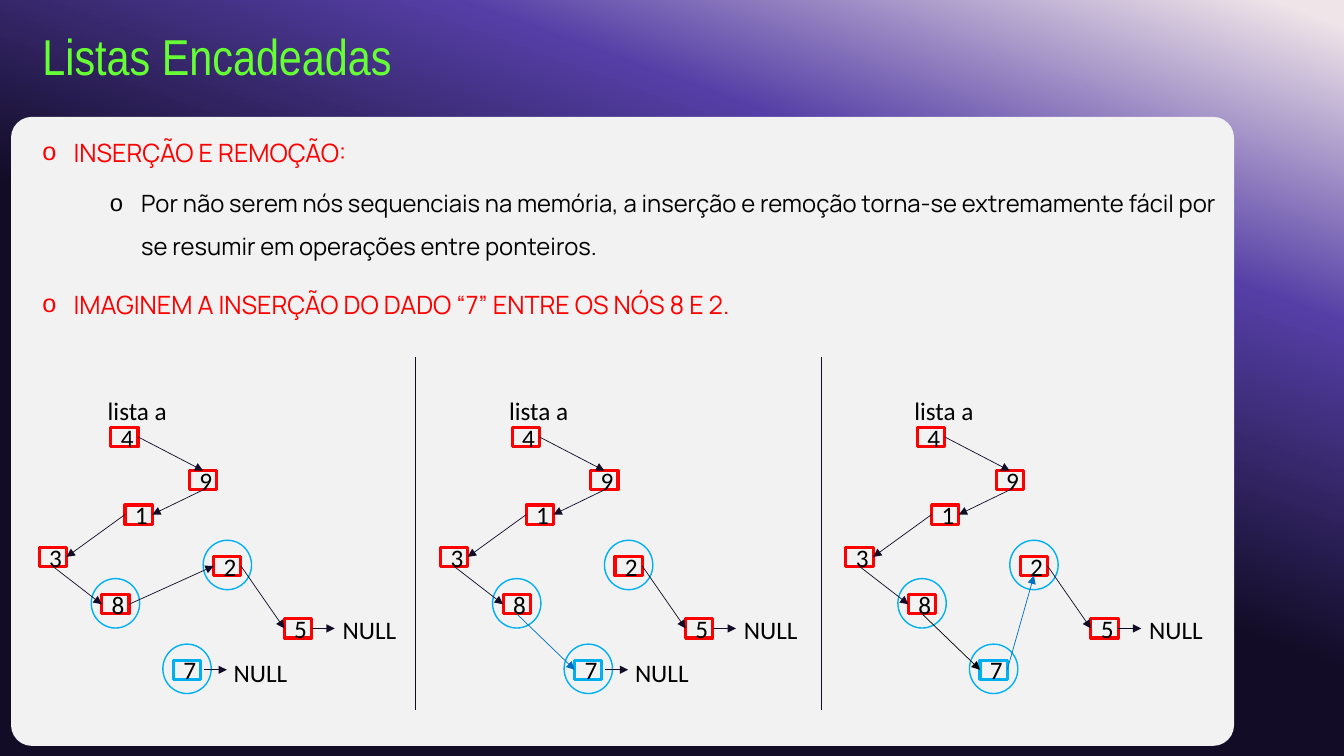
from dataclasses import dataclass

from pptx import Presentation
from pptx.dml.color import RGBColor
from pptx.enum.shapes import MSO_CONNECTOR, MSO_SHAPE
from pptx.enum.text import MSO_ANCHOR, MSO_AUTO_SIZE, PP_ALIGN
from pptx.oxml.ns import qn
from pptx.util import Inches, Pt
from lxml.etree import SubElement

COLORS = {
    "title": "66FF33", "red": "FF0000", "text": "000000", "panel": "F2F2F2",
    "ink": "120C26", "new": "00B0F0", "new_link": "0070C0",
}
BACKGROUND_STOPS = [(2, "EFE4E8"), (26, "553FA6"), (54, "120C26"), (96, "120C26")]
NODE_WIDTH, NODE_HEIGHT = 0.27, 0.19
RING_WIDTH, RING_HEIGHT = 0.48, 0.49
NULL_ARROW = 0.23


@dataclass(frozen=True)
class Node:
    value: str
    left: float
    top: float
    color: str = "red"
    ringed: bool = False

    def side(self, name: str) -> tuple[float, float]:
        across, down = {"left": (0, 0.5), "right": (1, 0.5),
                        "top": (0.5, 0), "bottom": (0.5, 1)}[name]
        return self.left + across * NODE_WIDTH, self.top + down * NODE_HEIGHT


@dataclass(frozen=True)
class Link:
    start: str
    start_side: str
    end: str
    end_side: str
    color: str = "ink"


@dataclass(frozen=True)
class Stage:
    offset: float
    links: tuple[Link, ...]
    new_points_to_null: bool


@dataclass(frozen=True)
class Topic:
    text: str
    level: int
    size: int
    color: str
    indent: float
    before: int


NODES = {node.value: node for node in (
    Node("4", 1.1, 4.24), Node("9", 1.88, 4.67), Node("1", 1.24, 5.01),
    Node("3", 0.39, 5.43), Node("8", 1.01, 5.9, ringed=True),
    Node("2", 2.12, 5.52, ringed=True), Node("5", 2.82, 6.14),
    Node("7", 1.72, 6.55, "new", True),
)}
COMMON_LINKS = (
    Link("4", "right", "9", "top"), Link("9", "bottom", "1", "right"),
    Link("1", "left", "3", "right"), Link("3", "bottom", "8", "left"),
    Link("2", "right", "5", "left"),
)
STAGES = (
    Stage(0, (Link("8", "right", "2", "left"),), True),
    Stage(3.98, (Link("8", "bottom", "7", "left", "new_link"),), True),
    Stage(8, (Link("8", "bottom", "7", "left", "text"),
              Link("7", "right", "2", "bottom", "new_link")), False),
)
TOPICS = (
    Topic("INSERÇÃO E REMOÇÃO:", 0, 18, "red", 0.31, 0),
    Topic("Por não serem nós sequenciais na memória, a inserção e remoção torna-se "
          "extremamente fácil por se resumir em operações entre ponteiros.",
          1, 17, "text", 0.98, 5),
    Topic("IMAGINEM A INSERÇÃO DO DADO “7” ENTRE OS NÓS 8 E 2.", 0, 18, "red", 0.31, 10),
)


def rgb(name: str) -> RGBColor:
    return RGBColor.from_string(COLORS[name])


def add_span(para, text: str, font: str, size: int, color: str) -> None:
    span = para.add_run()
    span.text = text
    span.font.name, span.font.size = font, Pt(size)
    span.font.color.rgb = rgb(color)


def place(box, left: float, top: float, width: float, height: float) -> None:
    box.left, box.top = Inches(left), Inches(top)
    box.width, box.height = Inches(width), Inches(height)


def add_outline(page, kind, left: float, top: float, width: float, height: float,
                color: str, weight: float):
    box = page.shapes.add_shape(kind, Inches(left), Inches(top), Inches(width), Inches(height))
    box.shadow.inherit = False
    box.fill.background()
    box.line.color.rgb = rgb(color)
    box.line.width = Pt(weight)
    return box


def add_line(page, start: tuple[float, float], end: tuple[float, float],
             color: str = "ink", arrow: bool = True) -> None:
    line = page.shapes.add_connector(MSO_CONNECTOR.STRAIGHT, *map(Inches, start + end))
    line.line.color.rgb = rgb(color)
    line.line.width = Pt(0.5)
    if arrow:
        outline = line.element.find(".//" + qn("a:ln"))
        SubElement(outline, qn("a:tailEnd"), type="triangle")
    SubElement(line.element.find(qn("p:spPr")), qn("a:effectLst"))


def add_label(page, text: str, left: float, top: float, width: float, height: float) -> None:
    box = page.shapes.add_textbox(Inches(left), Inches(top), Inches(width), Inches(height))
    box.text_frame.word_wrap = True
    add_span(box.text_frame.paragraphs[0], text, "Calibri", 18, "text")


def add_node(page, node: Node, offset: float) -> None:
    box = add_outline(page, MSO_SHAPE.RECTANGLE, node.left + offset, node.top,
                      NODE_WIDTH, NODE_HEIGHT, node.color, 2.25)
    box.text_frame.vertical_anchor = MSO_ANCHOR.MIDDLE
    para = box.text_frame.paragraphs[0]
    para.alignment = PP_ALIGN.CENTER
    add_span(para, node.value, "Calibri", 18, "text")
    if node.ringed:
        add_outline(page, MSO_SHAPE.OVAL,
                    node.left + offset + (NODE_WIDTH - RING_WIDTH) / 2,
                    node.top + (NODE_HEIGHT - RING_HEIGHT) / 2 - 0.01,
                    RING_WIDTH, RING_HEIGHT, "new", 1)


def add_null(page, node: Node, offset: float, gap: float, label: tuple[float, float]) -> None:
    left, top = node.side("right")
    left += offset + gap
    add_line(page, (left, top), (left + NULL_ARROW, top))
    add_label(page, "NULL", label[0] + offset, label[1], 0.86, 0.36)


def add_stage(page, stage: Stage) -> None:
    add_label(page, "lista a", 0.97 + stage.offset, 3.87, 0.89, 0.4)
    for node in NODES.values():
        add_node(page, node, stage.offset)
    for link in COMMON_LINKS + stage.links:
        start = NODES[link.start].side(link.start_side)
        end = NODES[link.end].side(link.end_side)
        add_line(page, (start[0] + stage.offset, start[1]),
                 (end[0] + stage.offset, end[1]), link.color)
    add_null(page, NODES["5"], stage.offset, 0, (3.3, 6.05))
    if stage.new_points_to_null:
        add_null(page, NODES["7"], stage.offset, 0.03, (2.22, 6.47))


def add_background(page) -> None:
    fill = page.background.fill
    fill.gradient()
    fill.gradient_angle = 250
    stops = page.element.find(".//" + qn("a:gsLst"))
    for stop in list(stops):
        stops.remove(stop)
    for percent, color in BACKGROUND_STOPS:
        stop = SubElement(stops, qn("a:gs"), pos=str(percent * 1000))
        SubElement(stop, qn("a:srgbClr"), val=color)
    panel = page.shapes.add_shape(MSO_SHAPE.ROUNDED_RECTANGLE, Inches(0.11), Inches(1.16),
                                  Inches(12.13), Inches(6.24))
    panel.adjustments[0] = 0.033
    panel.shadow.inherit = False
    panel.fill.solid()
    panel.fill.fore_color.rgb = rgb("panel")
    panel.line.fill.background()
    page.shapes.element.insert(2, panel.element)


def fill_placeholders(page) -> None:
    # Title
    title = page.shapes.title
    place(title, 0.32, 0.11, 12.68, 0.95)
    title.text_frame.vertical_anchor = MSO_ANCHOR.MIDDLE
    para = title.text_frame.paragraphs[0]
    para.alignment, para.line_spacing = PP_ALIGN.LEFT, 0.9
    add_span(para, "Listas Encadeadas", "Arial Narrow", 36, "title")
    # Bulleted topics
    body = page.placeholders[1]
    place(body, 0.32, 1.16, 11.91, 6)
    frame = body.text_frame
    frame.auto_size = MSO_AUTO_SIZE.NONE
    for index, topic in enumerate(TOPICS):
        para = frame.add_paragraph() if index else frame.paragraphs[0]
        properties = para._p.get_or_add_pPr()
        properties.set("marL", str(Inches(topic.indent)))
        properties.set("indent", str(Inches(-0.31)))
        SubElement(properties, qn("a:buChar"), char="o")
        para.level, para.line_spacing = topic.level, 1.5
        para.space_before = Pt(topic.before)
        add_span(para, topic.text, "Manrope", topic.size, topic.color)


def main() -> None:
    deck = Presentation()
    deck.slide_width, deck.slide_height = Inches(13.33), Inches(7.5)
    page = deck.slides.add_slide(deck.slide_layouts[1])
    add_background(page)
    fill_placeholders(page)
    # Three stages of the insertion, with dividers between them
    for stage in STAGES:
        add_stage(page, stage)
    for left in (4.12, 8.15):
        add_line(page, (left, 3.54), (left, 7.04), arrow=False)
    deck.save("out.pptx")


if __name__ == "__main__":
    main()
